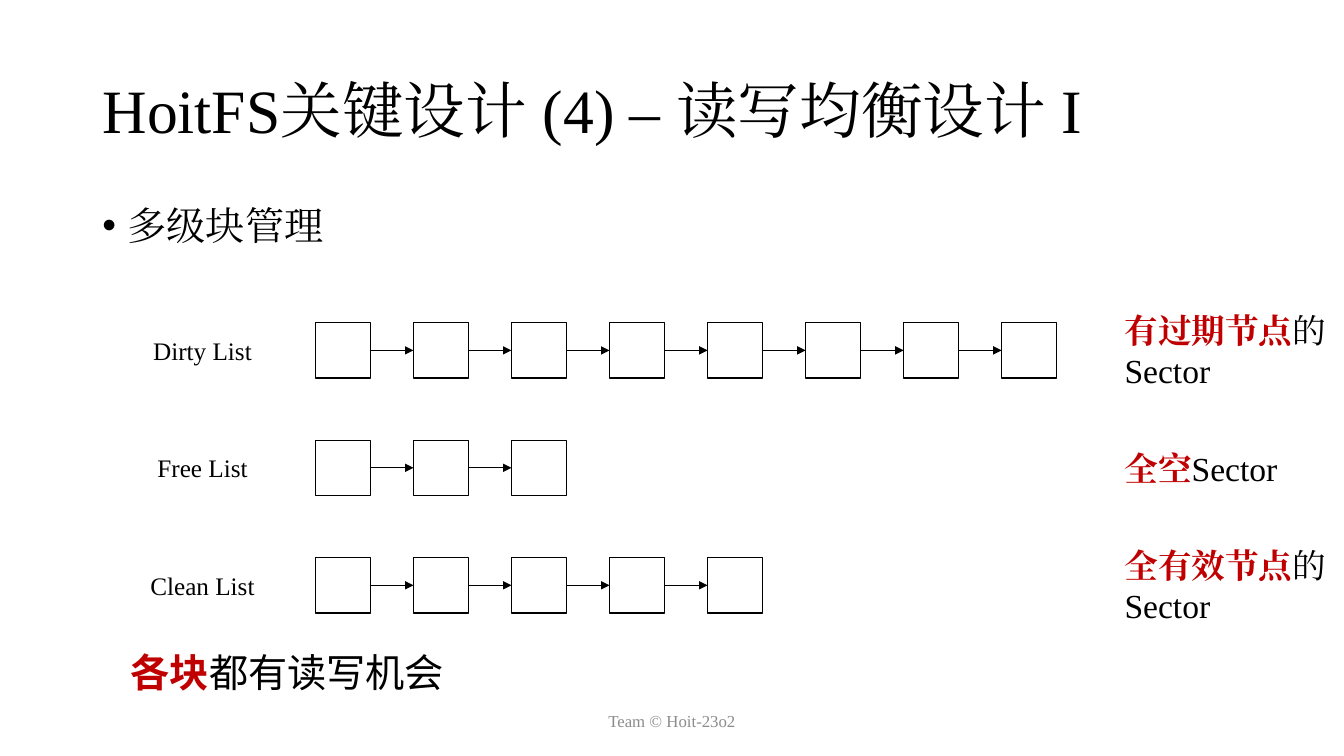
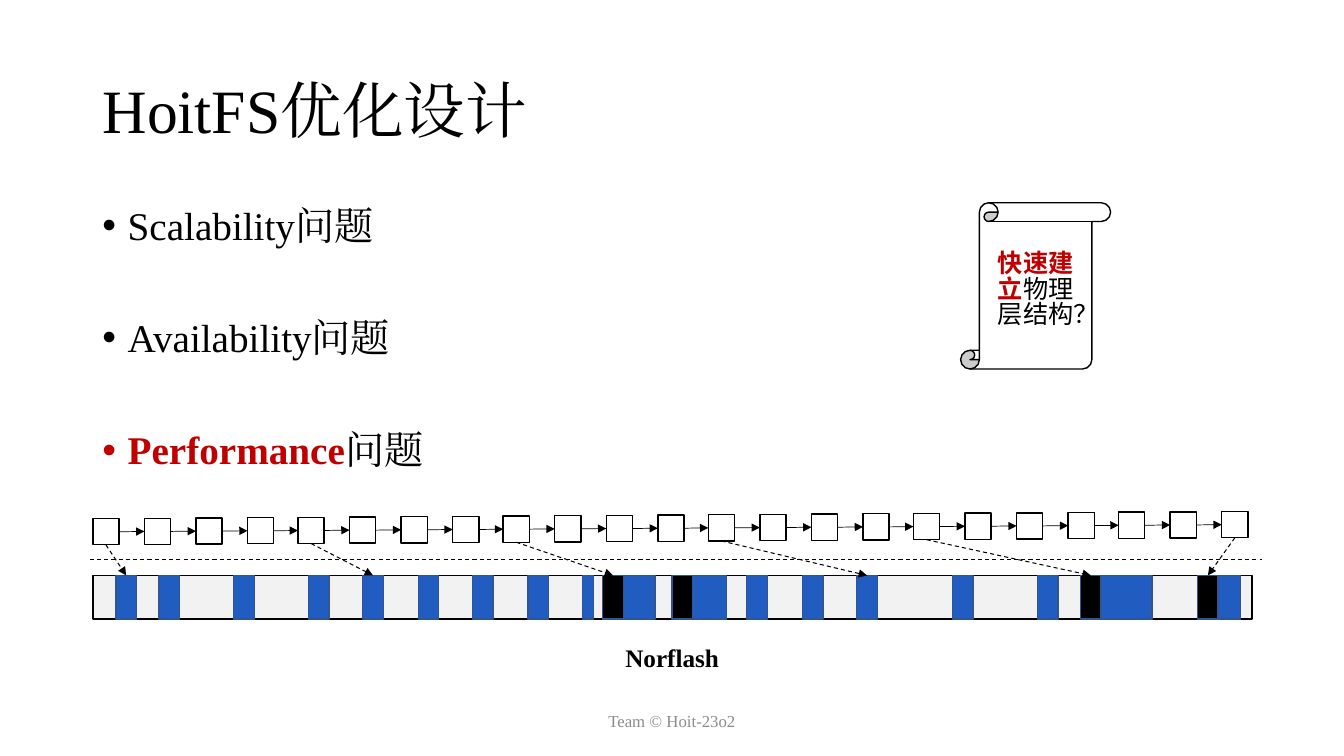
from itertools import pairwise

from lxml.etree import SubElement
from pptx import Presentation
from pptx.dml.color import RGBColor
from pptx.enum.dml import MSO_LINE
from pptx.enum.shapes import MSO_CONNECTOR, MSO_SHAPE as KIND
from pptx.enum.text import MSO_ANCHOR as ANCHOR, PP_ALIGN as ALIGN
from pptx.oxml.ns import qn
from pptx.util import Cm, Pt

SERIF, SANS = "Times New Roman", "Noto Sans CJK SC"
BLACK, WHITE, RED, GRAY = "000000", "FFFFFF", "C00000", "8C8C8C"
PALE, BLUE, NAVY = "F2F2F2", "215CC1", "325491"
RIGHT, LEFT, TOP, BOTTOM = 3, 1, 0, 2  # connection sites of a rectangle


def color(code):
    return RGBColor.from_string(code)


def write(frame, text, hot="", size=18, font=SERIF, ink=BLACK, bold=False,
          align=ALIGN.LEFT, line=None, before=None, bullet=False):
    """Add a paragraph: the hot words in bold red, then the plain text."""
    para = frame.paragraphs[0]
    if para.runs:
        para = frame.add_paragraph()
    para.alignment, para.line_spacing = align, line
    if before is not None:
        para.space_before = Pt(before)
    if bullet:
        props = para._p.get_or_add_pPr()
        props.set("marL", str(Cm(0.64)))
        props.set("indent", str(-Cm(0.64)))
        SubElement(props, qn("a:buFont"), typeface="Arial")
        SubElement(props, qn("a:buChar"), char="•")
    for words, tint, heavy in ((hot, RED, True), (text, ink, bold)):
        if words:
            run = para.add_run()
            run.text = words
            face = run.font
            face.size, face.name, face.bold = Pt(size), font, heavy
            face.color.rgb = color(tint)
            SubElement(face._element, qn("a:ea"), typeface=font)


class Deck:
    """Holds the shared style and the slide being built."""

    def __init__(self):
        self.prs = Presentation()
        self.prs.slide_width, self.prs.slide_height = Cm(33.87), Cm(19.05)
        self.slide = None

    def page(self, title):
        """Start a slide with its title and footer."""
        self.slide = self.prs.slides.add_slide(self.prs.slide_layouts[5])
        head = self.slide.shapes.title
        head.left, head.top = Cm(2.33), Cm(1.01)
        head.width, head.height = Cm(29.21), Cm(3.68)
        head.text_frame.vertical_anchor = ANCHOR.MIDDLE
        write(head.text_frame, title, size=44, line=0.9)
        self.label(11.22, 17.66, 11.43, 1.01, "Team © Hoit-23o2", size=12,
                   ink=GRAY, align=ALIGN.CENTER, anchor=ANCHOR.MIDDLE)

    def frame(self, x, y, w, h, anchor=ANCHOR.TOP):
        box = self.slide.shapes.add_textbox(Cm(x), Cm(y), Cm(w), Cm(h))
        frame = box.text_frame
        frame.word_wrap, frame.vertical_anchor = True, anchor
        return frame

    def label(self, x, y, w, h, text, anchor=ANCHOR.TOP, **fmt):
        write(self.frame(x, y, w, h, anchor), text, **fmt)

    def points(self, *items):
        """Bulleted list of (hot, plain) items."""
        frame = self.frame(2.33, 5.07, 29.21, 12.09)
        for i, (hot, text) in enumerate(items):
            write(frame, text, hot, size=28, line=0.9,
                  before=50 if i else 10, bullet=True)

    def shape(self, x, y, w, h, fill=WHITE, edge=BLACK, kind=KIND.RECTANGLE):
        item = self.slide.shapes.add_shape(kind, Cm(x), Cm(y), Cm(w), Cm(h))
        item.shadow.inherit = False
        item.fill.solid()
        item.fill.fore_color.rgb = color(fill)
        item.line.color.rgb = color(edge)
        item.line.width = Pt(1)
        return item

    def line(self, x1, y1, x2, y2, width=0.75, dash=False, arrow=False):
        item = self.slide.shapes.add_connector(
            MSO_CONNECTOR.STRAIGHT, Cm(x1), Cm(y1), Cm(x2), Cm(y2))
        item.line.color.rgb = color(BLACK)
        item.line.width = Pt(width)
        if dash:
            item.line.dash_style = MSO_LINE.DASH
        if arrow:
            SubElement(item.line._get_or_add_ln(), qn("a:tailEnd"),
                       type="triangle")
        SubElement(item._element.spPr, qn("a:effectLst"))
        return item

    def link(self, start, out, end, into, **look):
        """Arrow glued to a site of each of two shapes."""
        item = self.line(0, 0, 0, 0, arrow=True, **look)
        item.begin_connect(start, out)
        item.end_connect(end, into)

    def chain(self, spots, side):
        """Row of square nodes, each pointing to the next."""
        nodes = [self.shape(x, y, side, side) for x, y in spots]
        for a, b in pairwise(nodes):
            self.link(a, RIGHT, b, LEFT, width=0.5)
        return nodes


def lists(deck):
    deck.page("HoitFS关键设计 (4) – 读写均衡设计 I")
    deck.points(("", "多级块管理"))
    side = 1.39
    rows = (("Dirty List", 8, "有过期节点", "的Sector", 2.31),
            ("Free List", 3, "全空", "Sector", 1.27),
            ("Clean List", 5, "全有效节点", "的Sector", 2.31))
    for i, (name, count, hot, text, high) in enumerate(rows):
        mid = 8.83 + 2.96 * i
        deck.chain([(7.95 + 2.47 * k, mid - side / 2) for k in range(count)],
                   side)
        deck.label(3.38, mid - 0.51, 3.45, 1.02, name, align=ALIGN.CENTER)
        deck.label(28.09, mid - high / 2, 5.62, high, text, hot=hot, size=24)
    deck.label(2.34, 16.2, 9.8, 1.45, "都有读写机会", hot="各块", size=28,
               font=SANS, align=ALIGN.CENTER, anchor=ANCHOR.MIDDLE)


def flash(deck):
    deck.page("HoitFS优化设计")
    deck.points(("", "Scalability问题"), ("", "Availability问题"),
                ("Performance", "问题"))
    note = deck.shape(24.21, 5.11, 3.78, 4.19, kind=KIND.VERTICAL_SCROLL)
    note.text_frame.word_wrap = True
    note.text_frame.vertical_anchor = ANCHOR.MIDDLE
    write(note.text_frame, "物理层结构？", hot="快速建立", font=SANS,
          align=ALIGN.CENTER, line=0.85)

    top, high, unit = 14.5, 1.1, 0.52
    deck.shape(2.34, top, 29.21, high, PALE)
    used = [(x, unit) for x in (2.92, 4.01, 5.89, 7.77, 9.14, 10.54, 11.91,
                                13.31, 18.82, 20.22, 21.59, 24, 26.14)]
    used += [(14.68, 0.28), (15.7, 0.81), (17.45, 0.86), (27.71, 1.32),
             (30.68, 0.58)]
    dark = [(x, unit) for x in (15.19, 16.94, 27.23, 30.18)]
    cells = {}
    for fill, spans in ((BLUE, used), (BLACK, dark)):
        for x, wide in spans:
            cells[x] = deck.shape(x, top, wide, high, fill, NAVY)

    deck.line(2.26, 14.1, 31.8, 14.1, dash=True)
    spots = [(2.34 + 5.17 * (i // 4) + 1.3 * (i % 4), 13.07 - 0.18 * i / 22)
             for i in range(23)]
    nodes = deck.chain(spots, 0.66)
    goals = {0: 2.92, 4: 9.14, 8: 15.19, 12: 21.59, 16: 27.23, 22: 30.18}
    for i, x in goals.items():
        deck.link(nodes[i], BOTTOM, cells[x], TOP, dash=True)
    deck.label(15.19, 16.05, 3.5, 1.02, "Norflash", bold=True,
               align=ALIGN.CENTER)


def main():
    deck = Deck()
    lists(deck)
    flash(deck)
    deck.prs.save("out.pptx")


if __name__ == "__main__":
    main()
